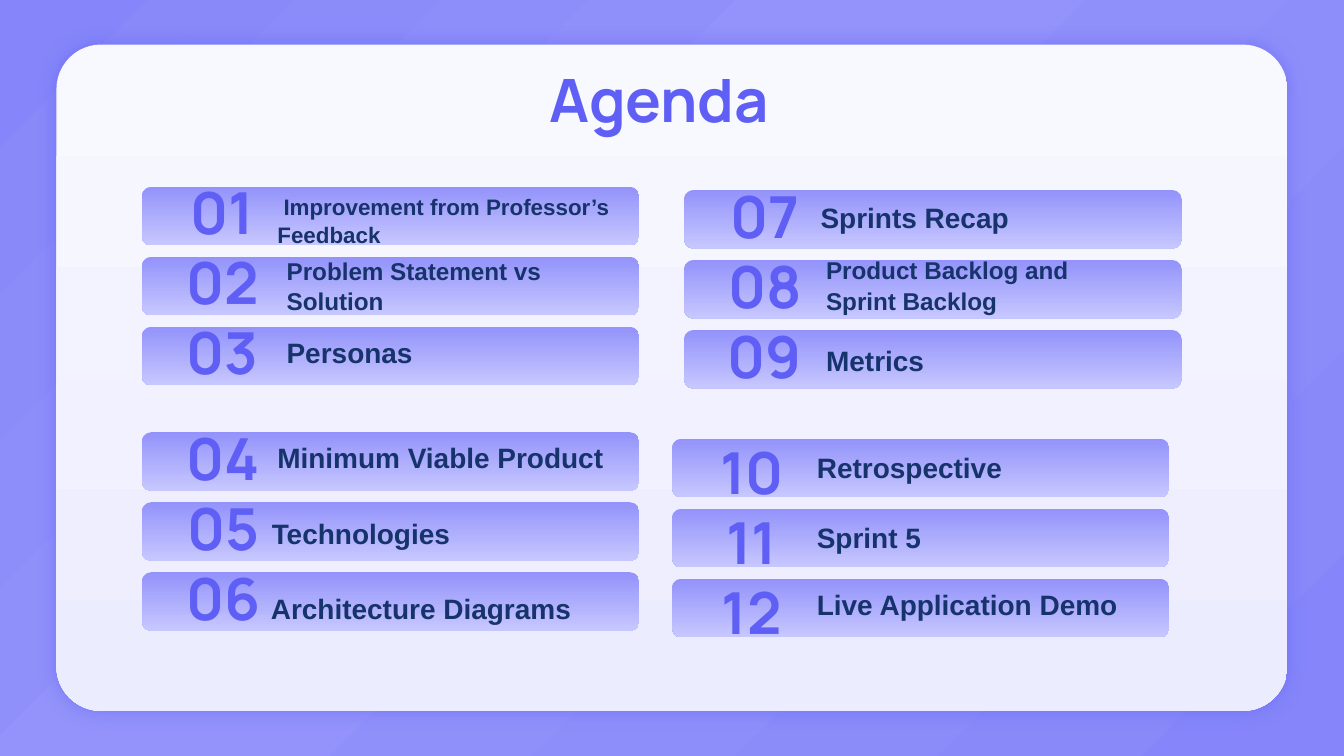
from lxml import etree
from pptx import Presentation
from pptx.dml.color import RGBColor
from pptx.enum import shapes, text
from pptx.oxml import ns
from pptx.util import Pt

DEEP = RGBColor(0x86, 0x86, 0xFA)
LILAC = RGBColor(0x93, 0x93, 0xFB)
PALE = RGBColor(0xC7, 0xC7, 0xFF)
WHITE = RGBColor(0xF8, 0xF8, 0xFF)
MIST = RGBColor(0xEC, 0xEC, 0xFF)
VIVID = RGBColor(0x5F, 0x5F, 0xF6)
NAVY = RGBColor(0x17, 0x33, 0x6B)

INSET = 7.2
CARD_W, CARD_H, PITCH = 266.5, 31.5, 37.5
NUM_W, NUM_H = 60.5, 15

# Groups: left, top, number offset (x, y), first number,
# then rows of label, size, label offset x, label middle y, label width
GROUPS = [
    (76, 100, 13, 6, 1, [
        ("Improvement from Professor’s Feedback", 12, 65.5, 17.7, 218),
        ("Problem Statement vs Solution", 13, 70.5, 15.1, 154),
        ("Personas", 15, 70.5, 14, 166)]),
    (76, 231.5, 13.5, 6, 4, [
        ("Minimum Viable Product", 15, 65.5, 13.5, 218),
        ("Technologies", 15, 62.5, 16.7, 218),
        ("Architecture Diagrams", 15, 62, 19.5, 184)]),
    (366.5, 101.7, 13, 6, 7, [
        ("Sprints Recap", 15, 66, 14.8, 178),
        ("Product Backlog and Sprint Backlog", 13, 69, 13.3, 178),
        ("Metrics", 15, 69, 16.2, 178)]),
    (360, 235, 12.5, 10, 10, [
        ("Retrospective", 15, 70.5, 15.6, 178),
        ("Sprint 5", 15, 70.5, 15.5, 178),
        ("Live Application Demo", 15, 70.5, 14, 178)]),
]


def grade(fill, root, stops, turn):
    """Gradient of (percent, colour) stops, turned clockwise by degrees."""
    fill.gradient()
    fill.gradient_angle = 360 - turn
    track = next(root.iter(ns.qn("a:gsLst")))
    for old in list(track):
        track.remove(old)
    for pos, color in stops:
        stop = etree.SubElement(track, ns.qn("a:gs"), pos=str(pos * 1000))
        etree.SubElement(stop, ns.qn("a:srgbClr"), val=str(color))


def write(shape, words, size=15, font="Arial", color=NAVY, align=None,
          anchor=text.MSO_ANCHOR.MIDDLE, first=0, lead=None):
    frame = shape.text_frame
    frame.word_wrap = True
    frame.auto_size = text.MSO_AUTO_SIZE.NONE
    frame.vertical_anchor = anchor
    frame.margin_left = frame.margin_right = Pt(INSET)
    frame.margin_top = frame.margin_bottom = Pt(INSET)
    para = frame.paragraphs[0]
    para.alignment = align
    if lead:
        para.line_spacing = lead
    if first:
        para._p.get_or_add_pPr().set("indent", str(Pt(first)))
    run = para.add_run()
    run.text = words
    run.font.size, run.font.name, run.font.bold = Pt(size), font, True
    run.font.color.rgb = color


def box(slide, x, y, w, h, words, **form):
    area = slide.shapes.add_textbox(Pt(x), Pt(y), Pt(w), Pt(h))
    write(area, words, **form)


def plate(slide, x, y, w, h, bend, stops):
    """Rounded rectangle with a top-down gradient."""
    shape = slide.shapes.add_shape(
        shapes.MSO_SHAPE.ROUNDED_RECTANGLE, Pt(x), Pt(y), Pt(w), Pt(h))
    shape.adjustments[0] = bend
    shape.shadow.inherit = False
    shape.line.fill.background()
    grade(shape.fill, shape._element, stops, 90)
    return shape


def panel(slide, x, y, w, h):
    shape = plate(slide, x, y, w, h, 0.067, [(0, WHITE), (100, MIST)])
    # Soft glow around the panel
    glow = etree.SubElement(
        shape._element.spPr.find(ns.qn("a:effectLst")), ns.qn("a:outerShdw"),
        blurRad=str(Pt(10.1)), dist="0", dir="0", algn="ctr", rotWithShape="0")
    tint = etree.SubElement(glow, ns.qn("a:srgbClr"), val=str(VIVID))
    etree.SubElement(tint, ns.qn("a:alpha"), val="49000")


def heading(slide, x, y, w, h):
    title = slide.shapes.title
    title.left, title.top, title.width, title.height = map(Pt, (x, y, w, h))
    write(title, "Agenda", size=32, font="Manrope", color=VIVID,
          align=text.PP_ALIGN.CENTER, anchor=text.MSO_ANCHOR.TOP)
    slide.shapes._spTree.append(title._element)  # bring above the panel


def group(slide, x, y, num_x, num_y, start, rows):
    for i, (label, size, dx, mid, wide) in enumerate(rows):
        top = y + i * PITCH
        plate(slide, x, top, CARD_W, CARD_H, 0.164, [(0, LILAC), (100, PALE)])
        box(slide, x + num_x, top + num_y, NUM_W, NUM_H, f"{start + i:02d}",
            size=31, font="Manrope", color=VIVID, align=text.PP_ALIGN.CENTER)
        tall = 46 if size < 15 else 32
        box(slide, x + dx, top + mid - tall / 2, wide, tall, label, size=size,
            first=3.3 if size == 12 else 0, lead=1.05 if size < 15 else None)


def agenda(deck):
    slide = deck.slides.add_slide(deck.slide_layouts[5])
    grade(slide.background.fill, slide._element,
          [(0, DEEP), (58, LILAC), (100, DEEP)], 225)
    panel(slide, 30.25, 23.9, 659.5, 357)
    heading(slide, 238.3, 26.6, 229.7, 45.4)
    for part in GROUPS:
        group(slide, *part)


def main():
    deck = Presentation()
    deck.slide_width, deck.slide_height = Pt(720), Pt(405)
    agenda(deck)
    deck.save("out.pptx")


if __name__ == "__main__":
    main()
